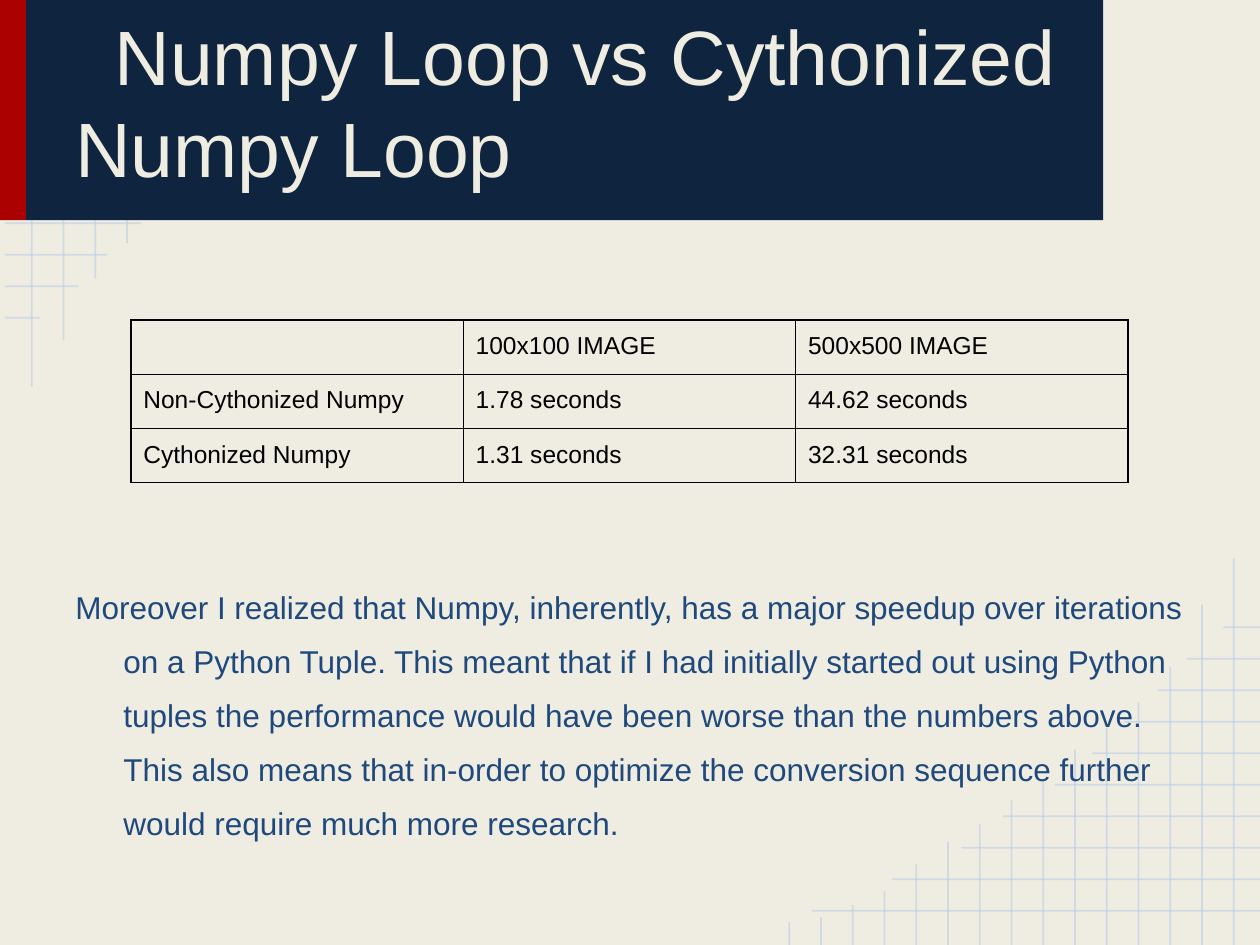
"""Build a slide comparing Numpy loop timings with and without Cython."""
from lxml import etree
from pptx import Presentation
from pptx import util as u
from pptx.dml import color
from pptx.enum import shapes, text
from pptx.oxml import ns

COLORS = {
    "background": "EFEDE2",
    "grid": "B7CCE4",
    "accent": "AB0101",
    "banner": "0F243E",
    "body": "1F497D",
    "table": "000000",
}
SLIDE_WIDTH, SLIDE_HEIGHT = 25.4, 19.05
ROW_STEP = 2.54 / 4
COLUMN_STEP = 0.64
INSET = u.Cm(0.25)


def rgb(name):
    return color.RGBColor.from_string(COLORS[name])


def add_text(paragraph, wording, size, color_name):
    run = paragraph.add_run()
    run.text = wording
    run.font.name = "Arial"
    run.font.size = u.Pt(size)
    run.font.color.rgb = rgb(color_name)


presentation = Presentation()
presentation.slide_width = u.Cm(SLIDE_WIDTH)
presentation.slide_height = u.Cm(SLIDE_HEIGHT)
slide = presentation.slides.add_slide(presentation.slide_layouts[6])
slide.background.fill.solid()
slide.background.fill.fore_color.rgb = rgb("background")

left_row_ends = [2.84, 2.16, 1.57, 0.81]
left_column_ends = [7.8, 6.86, 5.61, 4.9]
right_row_ends = [16.36, 17.98, 19.38, 20.22, 21.26, 22.02, 22.66, 23.34, 23.93, 24.66]
right_column_ends = [11.25, 12.19, 13.44, 14.15, 14.68, 15.11, 15.72, 16.13,
                     16.61, 16.97, 17.42, 17.96, 18.24, 18.49, 18.59]

grid_lines = []
for index, end in enumerate(left_row_ends):
    y = 4.5 + index * ROW_STEP
    grid_lines.append((0.1, y, end, y))
for index, end in enumerate(left_column_ends):
    x = 0.64 + index * COLUMN_STEP
    grid_lines.append((x, end, x, 0))
for index, end in enumerate(right_row_ends):
    y = 18.36 - index * ROW_STEP
    grid_lines.append((SLIDE_WIDTH, y, end, y))
for index, end in enumerate(right_column_ends):
    x = 24.87 - index * COLUMN_STEP
    grid_lines.append((x, end, x, SLIDE_HEIGHT))

for points in grid_lines:
    connector = slide.shapes.add_connector(
        shapes.MSO_CONNECTOR.STRAIGHT, *[u.Cm(value) for value in points])
    connector.line.width = u.Pt(1)
    connector.line.color.rgb = rgb("grid")
    grid_color = connector.line._ln.find(".//" + ns.qn("a:srgbClr"))
    etree.SubElement(grid_color, ns.qn("a:alpha"), val="54000")
    etree.SubElement(connector._element.spPr, ns.qn("a:effectLst"))

for left, width, name in [(0, 0.53, "accent"), (0.53, 21.71, "banner")]:
    shape = slide.shapes.add_shape(
        shapes.MSO_SHAPE.RECTANGLE, u.Cm(left), u.Cm(0), u.Cm(width), u.Cm(4.44))
    shape.shadow.inherit = False
    shape.fill.solid()
    shape.fill.fore_color.rgb = rgb(name)
    shape.line.fill.background()

text_blocks = [
    ("Numpy Loop vs Cythonized Numpy Loop", 44, "background",
     (1.27, 0.38, 20.32, 3.76), text.MSO_ANCHOR.BOTTOM, 0, 0.79, 1.0),
    ("Moreover I realized that Numpy, inherently, has a major speedup over "
     "iterations on a Python Tuple. This meant that if I had initially started "
     "out using Python tuples the performance would have been worse than the "
     "numbers above. This also means that in-order to optimize the conversion "
     "sequence further would require much more research.", 18, "body",
     (1.27, 11.28, 22.86, 6.05), text.MSO_ANCHOR.TOP, 0.97, -0.97, 1.43),
]
for wording, size, color_name, box, anchor, margin, indent, spacing in text_blocks:
    frame = slide.shapes.add_textbox(*[u.Cm(value) for value in box]).text_frame
    frame.word_wrap = True
    frame.vertical_anchor = anchor
    frame.margin_left = frame.margin_right = INSET
    frame.margin_top = frame.margin_bottom = INSET
    paragraph = frame.paragraphs[0]
    paragraph.line_spacing = spacing
    properties = paragraph._p.get_or_add_pPr()
    properties.set("marL", str(u.Cm(margin)))
    properties.set("indent", str(u.Cm(indent)))
    add_text(paragraph, wording, size, color_name)

timings = [
    ["", "100x100 IMAGE", "500x500 IMAGE"],
    ["Non-Cythonized Numpy", "1.78 seconds", "44.62 seconds"],
    ["Cythonized Numpy", "1.31 seconds", "32.31 seconds"],
]
table = slide.shapes.add_table(
    3, 3, u.Cm(2.64), u.Cm(6.45), u.Cm(20.1), u.Cm(3.21)).table
table.first_row = False
table.horz_banding = False
for row_index, row in enumerate(timings):
    for column_index, wording in enumerate(row):
        cell = table.cell(row_index, column_index)
        cell.margin_left = cell.margin_right = INSET
        cell.margin_top = cell.margin_bottom = INSET
        cell_properties = cell._tc.get_or_add_tcPr()
        for side in ("lnL", "lnR", "lnT", "lnB"):
            border = etree.SubElement(
                cell_properties, ns.qn("a:" + side), w=str(u.Pt(0.75)))
            border_fill = etree.SubElement(border, ns.qn("a:solidFill"))
            etree.SubElement(border_fill, ns.qn("a:srgbClr"), val=COLORS["table"])
        cell.fill.background()
        paragraph = cell.text_frame.paragraphs[0]
        if wording:
            add_text(paragraph, wording, 14, "table")
        else:
            etree.SubElement(paragraph._p, ns.qn("a:endParaRPr"), sz="1400")

presentation.save("out.pptx")
